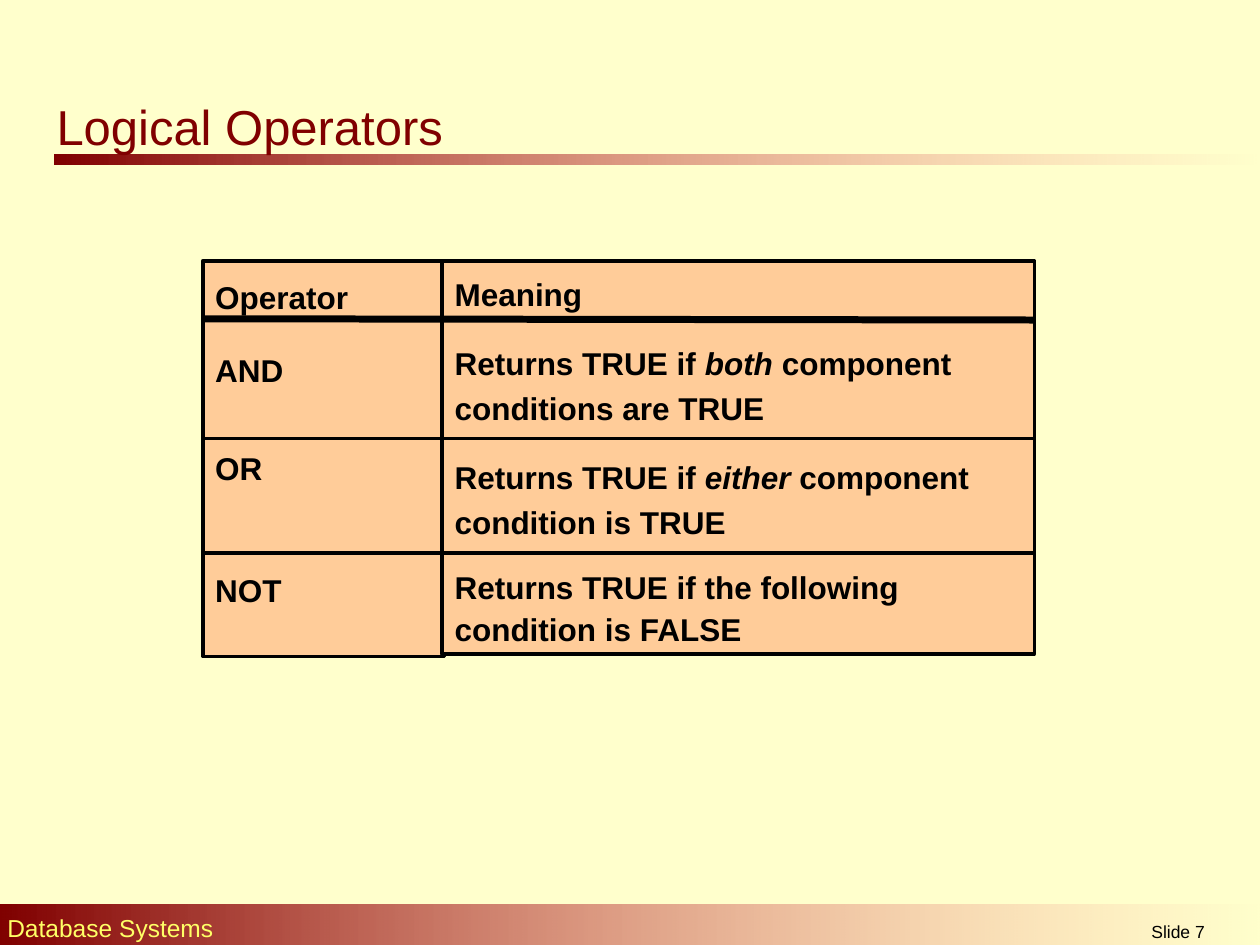
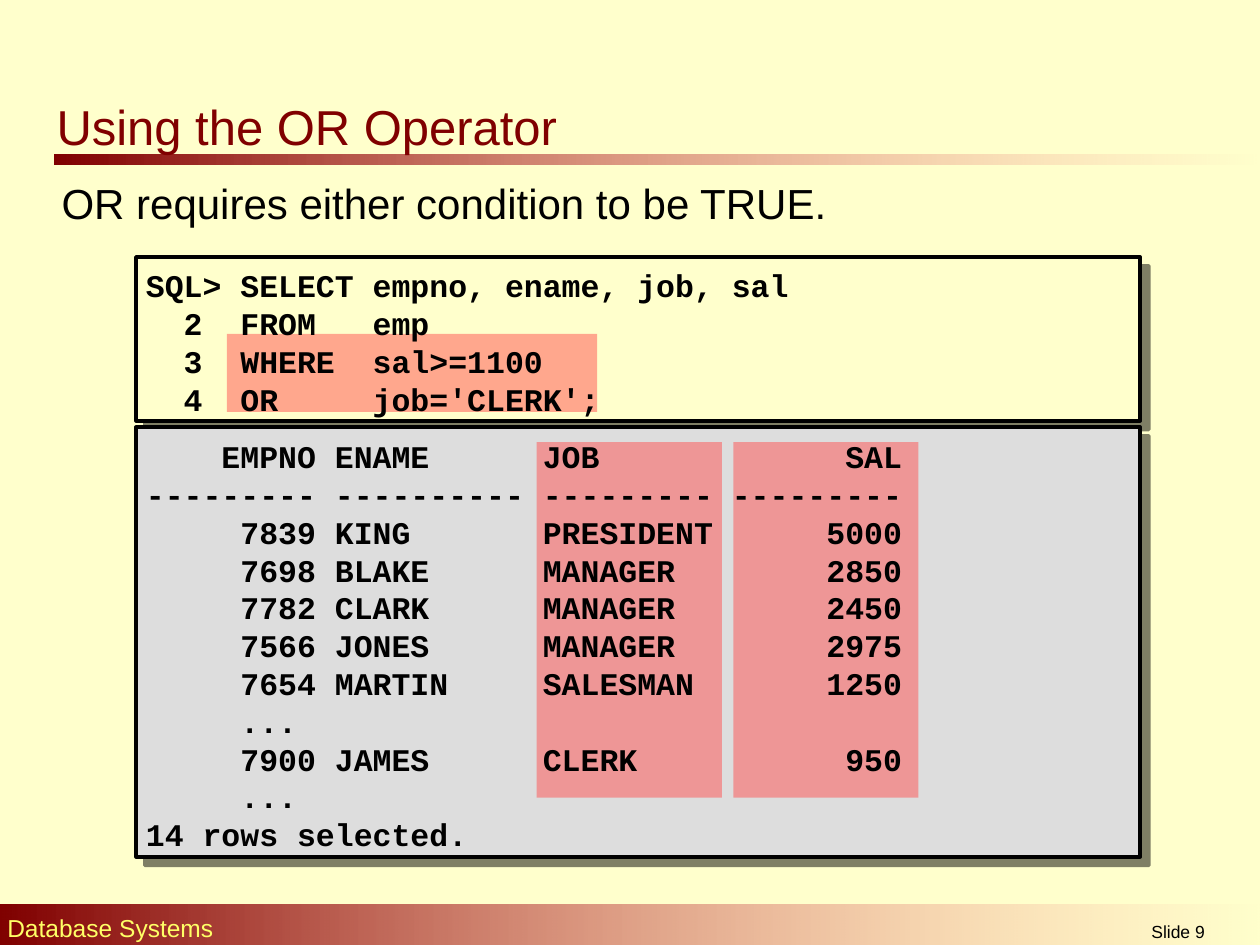
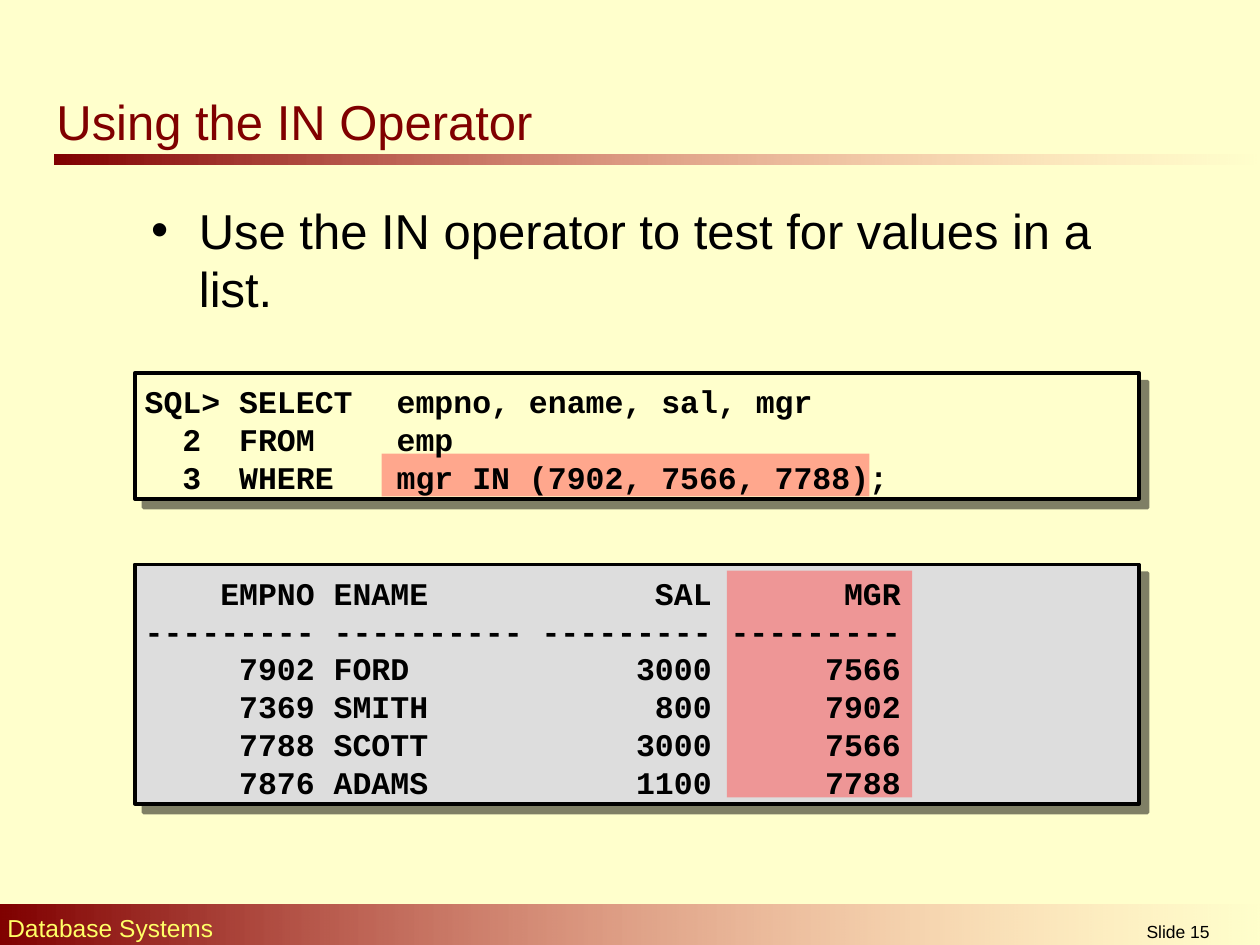
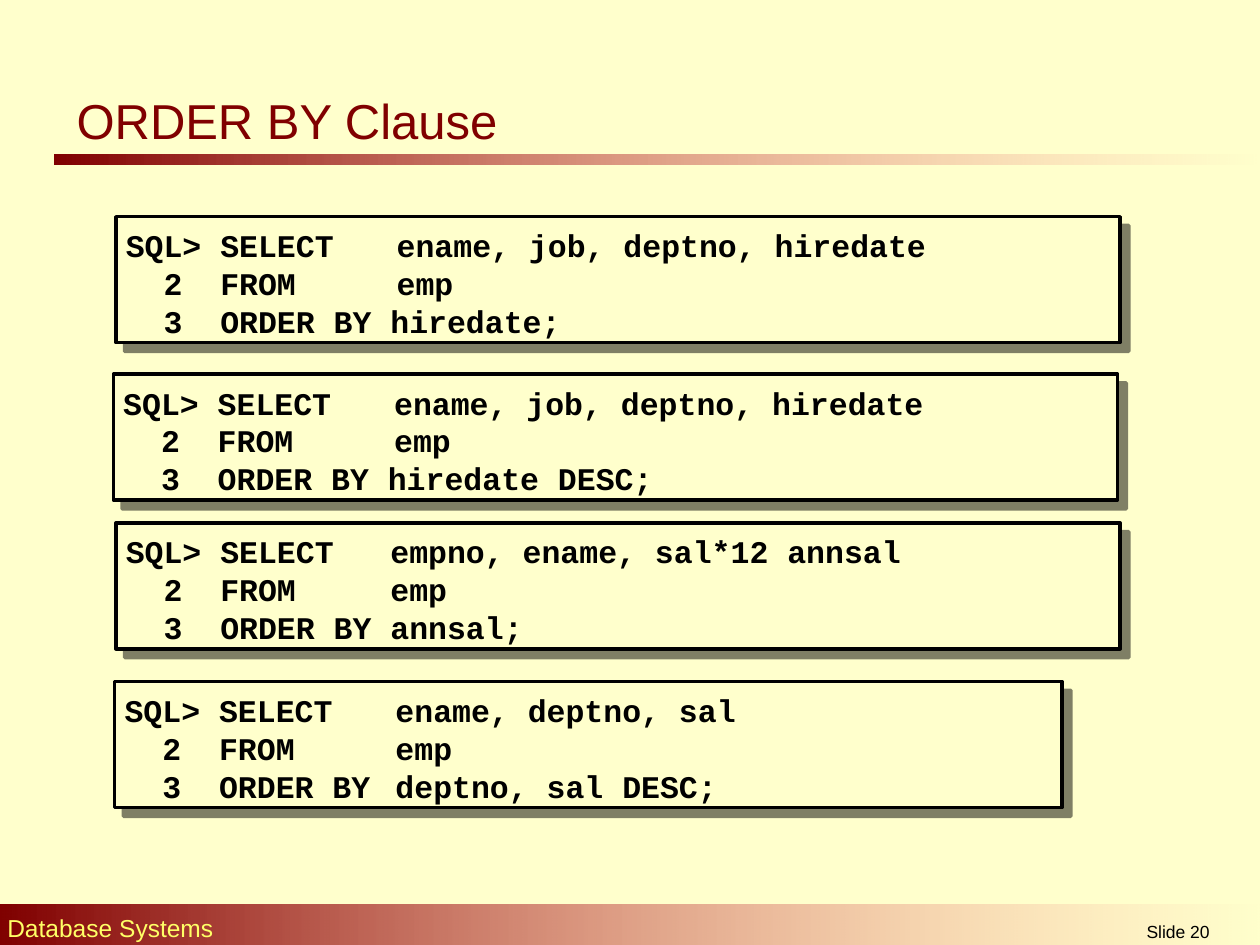
import pptx
import pptx.util
import pptx.dml.color
import pptx.enum.shapes
import pptx.enum.text
import pptx.oxml
import pptx.oxml.ns

Inches = pptx.util.Inches
Pt = pptx.util.Pt
RGBColor = pptx.dml.color.RGBColor
RECT = pptx.enum.shapes.MSO_SHAPE.RECTANGLE
LINE = pptx.enum.shapes.MSO_CONNECTOR.STRAIGHT
ALIGN = pptx.enum.text.PP_ALIGN
ANCHOR = pptx.enum.text.MSO_ANCHOR

CREAM = RGBColor(0xFF, 0xFF, 0xCC)
MAROON = RGBColor(0x80, 0x00, 0x00)
ROSE = RGBColor(0xFF, 0x85, 0x85)
YELLOW = RGBColor(0xFF, 0xFF, 0x66)
BLACK = RGBColor(0x00, 0x00, 0x00)
PEACH = RGBColor(0xFF, 0xCC, 0x99)
GREY = RGBColor(0xDD, 0xDD, 0xDD)
RED = RGBColor(0xFF, 0x50, 0x50)

SANS = "Arial"
MONO = "Courier New"
LEAD = 1.2
CODE_TAB = 2

OR_QUERY = """SQL> SELECT empno, ename, job, sal
  2  FROM   emp
  3  WHERE  sal>=1100
  4  OR     job='CLERK';"""

OR_ROWS = """    EMPNO ENAME      JOB             SAL
--------- ---------- --------- ---------
     7839 KING       PRESIDENT      5000
     7698 BLAKE      MANAGER        2850
     7782 CLARK      MANAGER        2450
     7566 JONES      MANAGER        2975
     7654 MARTIN     SALESMAN       1250
     ...
     7900 JAMES      CLERK           950
     ...
14 rows selected."""

IN_QUERY = """SQL> SELECT\tempno, ename, sal, mgr
  2  FROM\temp
  3  WHERE\tmgr IN (7902, 7566, 7788);"""

IN_ROWS = """    EMPNO ENAME            SAL       MGR
--------- ---------- --------- ---------
     7902 FORD            3000      7566
     7369 SMITH            800      7902
     7788 SCOTT           3000      7566
     7876 ADAMS           1100      7788"""

HIRE_QUERY = """SQL> SELECT\t ename, job, deptno, hiredate
  2  FROM\t emp
  3  ORDER BY hiredate"""

PAY_QUERY = """SQL> SELECT   empno, ename, sal*12 annsal
  2  FROM     emp
  3  ORDER BY annsal;"""

DEPT_QUERY = """SQL> SELECT\t ename, deptno, sal
  2  FROM\t emp
  3  ORDER BY\t deptno, sal DESC;"""


def add_xml(parent, tag, body="", **attrs):
    pairs = " ".join(f'{key}="{value}"' for key, value in attrs.items())
    node = pptx.oxml.parse_xml(
        f'<a:{tag} {pptx.oxml.ns.nsdecls("a")} {pairs}>{body}</a:{tag}>')
    parent.append(node)
    return node


def fade(fill, percent):
    for color in fill.iter(pptx.oxml.ns.qn("a:srgbClr")):
        last = color
    add_xml(last, "alpha", val=percent * 1000)


def add_rect(slide, box, fill=None, line=None):
    rect = slide.shapes.add_shape(RECT, *map(Inches, box))
    rect.shadow.inherit = False
    if fill is not None:
        rect.fill.solid()
        rect.fill.fore_color.rgb = fill
    if line is None:
        rect.line.fill.background()
    else:
        rect.line.color.rgb = line
        rect.line.width = Pt(2)
    return rect


def add_rule(slide, start, end, width):
    rule = slide.shapes.add_connector(LINE, *map(Inches, (*start, *end)))
    rule.line.color.rgb = BLACK
    rule.line.width = Pt(width)
    add_xml(rule.line._get_or_add_ln().getparent(), "effectLst")


def style(para, size, color=BLACK, face=SANS, bold=False, lead=1):
    para.line_spacing = Pt(round(size * LEAD * lead, 1))
    for run in para.runs:
        run.font.size = Pt(size)
        run.font.name = face
        run.font.bold = bold
        run.font.color.rgb = color


def add_text(slide, box, text, size, color=BLACK, **looks):
    frame = slide.shapes.add_textbox(*map(Inches, box)).text_frame
    frame.word_wrap = True
    frame.text = text
    for para in frame.paragraphs:
        style(para, size, color, **looks)
    return frame


def add_fade(slide, box):
    bar = add_rect(slide, box)
    bar.fill.gradient()
    bar.fill.gradient_angle = 0
    for stop, color in zip(bar.fill.gradient_stops, (MAROON, ROSE)):
        stop.color.rgb = color
    fade(bar._element.spPr, 0)


def add_base(deck, number):
    slide = deck.slides.add_slide(deck.slide_layouts[6])
    slide.background.fill.solid()
    slide.background.fill.fore_color.rgb = CREAM
    add_fade(slide, (0.43, 1.23, 9.57, 0.08))
    add_fade(slide, (0, 7.18, 10.03, 0.35))
    add_text(slide, (-0.04, 7.2, 6.46, 0.34), "Database Systems", 14, YELLOW)
    label = add_text(slide, (8.31, 7.26, 2.08, 0.24), f"Slide {number}", 10)
    label.paragraphs[0].alignment = ALIGN.CENTER
    return slide


def add_title(slide, box, text):
    add_text(slide, box, text, 28, MAROON)


def add_panel(slide, box, text, fill=CREAM, marks=()):
    left, top, width, height = box
    panel = add_rect(slide, box, fill, BLACK)
    effects = panel._element.spPr.find(pptx.oxml.ns.qn("a:effectLst"))
    add_xml(effects, "outerShdw",
            '<a:srgbClr val="000000"><a:alpha val="50000"/></a:srgbClr>',
            dist=Pt(7.1), dir=45 * 60000, algn="ctr", rotWithShape=0)
    for x, y, wide, high in marks:
        mark = add_rect(slide, (left + x, top + y, wide, high), RED)
        fade(mark._element.spPr, 50)
    frame = add_text(slide, (left - 0.02, top + 0.01, width + 0.03, height + 0.03),
                     text, 18, face=MONO, bold=True)
    frame.vertical_anchor = ANCHOR.MIDDLE
    for para in frame.paragraphs:
        if "\t" in para.text:
            tabs = add_xml(para._p.get_or_add_pPr(), "tabLst")
            add_xml(tabs, "tab", pos=Inches(CODE_TAB), algn="l")


def add_column(slide, box, cells):
    frame = add_rect(slide, box, PEACH, BLACK).text_frame
    frame.word_wrap = True
    frame.vertical_anchor = ANCHOR.TOP
    for index, (text, lead, gap) in enumerate(cells):
        para = frame.add_paragraph() if index else frame.paragraphs[0]
        para.alignment = ALIGN.LEFT
        para.space_before = Pt(gap)
        for turn, part in enumerate(text.split("_")):
            run = para.add_run()
            run.text = part
            run.font.italic = turn % 2 == 1
        style(para, 18, bold=True, lead=lead)


def add_grid(slide, box):
    left, top, width, height = box
    split = 1.9
    add_column(slide, (left, top, split + 0.02, height + 0.02), [
        ("Operator", 1.3, 0),
        ("AND", 1.3, 13.5),
        ("OR", 1.3, 28),
        ("NOT", 1.3, 41.6)])
    add_column(slide, (left + split, top, width - split, height), [
        ("Meaning", 1.2, 0),
        ("Returns TRUE if _both_ component conditions are TRUE", 1.2, 13.5),
        ("Returns TRUE if _either_ component condition is TRUE", 1.2, 13.5),
        ("Returns TRUE if the following condition is FALSE", 1.1, 13.5)])
    for drop, slant, weight in ((0.46, 0.01, 4), (1.41, 0, 2), (2.32, 0, 2)):
        add_rule(slide, (left, top + drop), (left + width, top + drop + slant), weight)


def logic_slide(deck):
    slide = add_base(deck, 7)
    add_title(slide, (0.35, 0.72, 3.42, 0.59), "Logical Operators")
    add_grid(slide, (1.61, 2.07, 6.6, 3.12))


def or_slide(deck):
    slide = add_base(deck, 9)
    add_title(slide, (0.35, 0.72, 4.29, 0.59), "Using the OR Operator")
    note = add_text(slide, (0.27, 1.38, 8.45, 0.48),
                    "OR requires either condition to be TRUE.", 24, lead=0.95)
    props = note.paragraphs[0]._p.get_or_add_pPr()
    props.set("marL", str(Inches(0.37)))
    props.set("indent", str(Inches(-0.25)))
    add_panel(slide, (1.08, 2.04, 7.97, 1.3), OR_QUERY,
              marks=[(0.72, 0.61, 2.94, 0.62)])
    add_panel(slide, (1.08, 3.39, 7.97, 3.41), OR_ROWS, GREY,
              [(x, 0.12, 1.47, 2.82) for x in (3.18, 4.74)])


def in_slide(deck):
    slide = add_base(deck, 15)
    add_title(slide, (0.35, 0.68, 4.13, 0.55), "Using the IN Operator")
    note = add_text(slide, (1.1, 1.54, 8.08, 1.04),
                    "Use the IN operator to test for values in a list.", 28)
    props = note.paragraphs[0]._p.get_or_add_pPr()
    props.set("marL", str(Inches(0.38)))
    props.set("indent", str(Inches(-0.38)))
    add_xml(props, "buFont", typeface=SANS)
    add_xml(props, "buChar", char="•")
    add_panel(slide, (1.07, 2.96, 7.97, 1), IN_QUERY,
              marks=[(1.96, 0.64, 3.87, 0.34)])
    add_panel(slide, (1.07, 4.48, 7.97, 1.9), IN_ROWS, GREY,
              [(4.7, 0.05, 1.47, 1.8)])


def order_slide(deck):
    slide = add_base(deck, 20)
    add_title(slide, (0.51, 0.67, 3.68, 0.48), "ORDER BY Clause")
    for left, top, width, query in (
            (0.92, 1.72, 7.97, HIRE_QUERY + ";"),
            (0.9, 2.97, 7.97, HIRE_QUERY + " DESC;"),
            (0.92, 4.15, 7.97, PAY_QUERY),
            (0.91, 5.41, 7.52, DEPT_QUERY)):
        add_panel(slide, (left, top, width, 1), query)


def main():
    deck = pptx.Presentation()
    deck.slide_width = Inches(10)
    deck.slide_height = Inches(7.5)
    for build in (logic_slide, or_slide, in_slide, order_slide):
        build(deck)
    deck.save("out.pptx")


if __name__ == "__main__":
    main()
